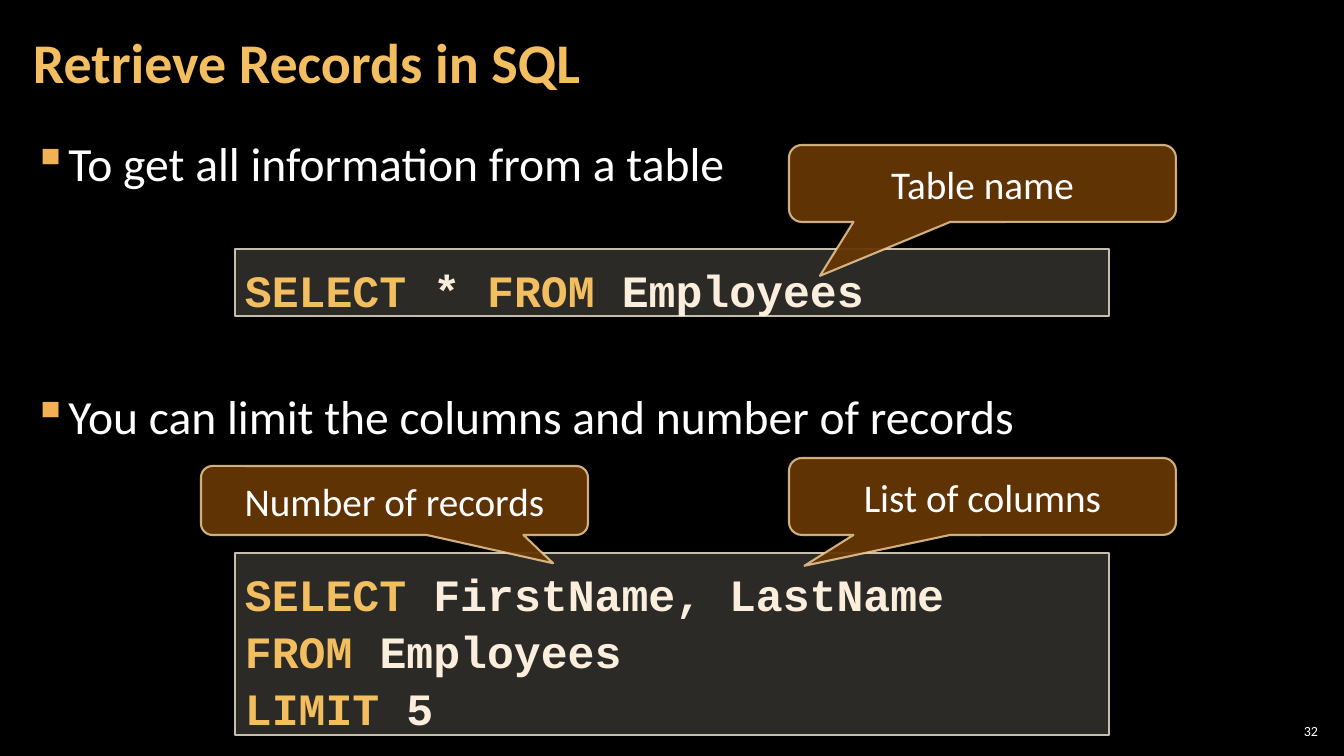
"""Build the slide about retrieving records in SQL."""
from lxml.etree import SubElement
from pptx import Presentation
from pptx.dml.color import RGBColor
from pptx.enum.shapes import MSO_SHAPE
from pptx.enum.text import MSO_ANCHOR, PP_ALIGN
from pptx.oxml.ns import qn
from pptx.util import Emu, Pt

TITLE = "Retrieve Records in SQL"
NUMBER = "32"
BULLETS = [
    ("To get all information from a table", 0),
    ("You can limit the columns and number of records", 132),
]
KEYWORDS = ("SELECT", "FROM", "LIMIT")
QUERIES = [
    ((235, 249, 874, 67), ["SELECT * FROM Employees"]),
    ((235, 553, 874, 182), ["SELECT FirstName, LastName", "FROM Employees", "LIMIT 5"]),
]
CALLOUTS = [
    ("Table name", (789, 145, 387, 77), (-0.42, 1.2)),
    ("List of columns", (789, 458, 387, 77), (-0.46, 0.9)),
    ("Number of records", (201, 466, 387, 69), (0.41, 0.91)),
]

BLACK = RGBColor(0x00, 0x00, 0x00)
WHITE = RGBColor(0xFF, 0xFF, 0xFF)
GOLD = RGBColor(0xF3, 0xBE, 0x60)
BULLET_GOLD = RGBColor(0xF2, 0xB2, 0x54)
CREAM = RGBColor(0xFB, 0xEE, 0xDC)
CODE_FILL = RGBColor(0xD9, 0xD5, 0xC7)
CODE_LINE = RGBColor(0xC7, 0xBF, 0xAC)
BROWN = RGBColor(0x66, 0x36, 0x06)
CALLOUT_LINE = RGBColor(0xF8, 0xD4, 0x9E)


def px(length):
    return Emu(round(length * 914400 / 100.8))


def style(font, size, color, name="Calibri", bold=False):
    font.size, font.name, font.bold = Pt(size), name, bold
    font.color.rgb = color


def set_alpha(element, percent):
    color = next(element.iter(qn("a:srgbClr")))
    SubElement(color, qn("a:alpha"), val=str(percent * 1000))


def add_text_box(page, place, anchor, side):
    frame = page.shapes.add_textbox(*map(px, place)).text_frame
    frame.word_wrap = True
    frame.vertical_anchor = anchor
    frame.margin_left = frame.margin_right = px(side)
    frame.margin_top = frame.margin_bottom = px(4)
    return frame


def add_panel(page, kind, place, fill, fill_alpha, line, width):
    shape = page.shapes.add_shape(kind, *map(px, place))
    shape.shadow.inherit = False
    shape.fill.solid()
    shape.fill.fore_color.rgb = fill
    set_alpha(shape.element.spPr.find(qn("a:solidFill")), fill_alpha)
    shape.line.color.rgb = line
    shape.line.width = Pt(width)
    return shape


def add_bullets(page):
    frame = add_text_box(page, (21, 127, 1301, 614), MSO_ANCHOR.TOP, 12)
    for index, (text, before) in enumerate(BULLETS):
        para = frame.add_paragraph() if index else frame.paragraphs[0]
        para.text = text
        para.line_spacing = 1.05
        para.space_before, para.space_after = Pt(before), Pt(6)
        properties = para._p.get_or_add_pPr()
        properties.set("marL", str(px(33)))
        properties.set("indent", str(-px(33)))
        color = SubElement(properties, qn("a:buClr"))
        SubElement(color, qn("a:srgbClr"), val=str(BULLET_GOLD))
        SubElement(properties, qn("a:buChar"), char="▪")
        style(para.font, 34, WHITE)


def add_query(page, place, lines):
    shape = add_panel(page, MSO_SHAPE.RECTANGLE, place, CODE_FILL, 20, CODE_LINE, 1)
    frame = shape.text_frame
    frame.vertical_anchor = MSO_ANCHOR.TOP
    frame.margin_top = px(10)
    for index, line in enumerate(lines):
        para = frame.add_paragraph() if index else frame.paragraphs[0]
        para.alignment = PP_ALIGN.LEFT
        para.line_spacing = Pt(40.8)
        words = line.split(" ")
        for position, word in enumerate(words):
            span = para.add_run()
            span.text = word + (" " if position < len(words) - 1 else "")
            color = GOLD if word in KEYWORDS else CREAM
            style(span.font, 32, color, "Courier New", True)


def add_callout(page, text, place, tip):
    shape = add_panel(page, MSO_SHAPE.ROUNDED_RECTANGULAR_CALLOUT, place,
                      BROWN, 95, CALLOUT_LINE, 1.5)
    set_alpha(shape.element.spPr.find(qn("a:ln")), 80)
    shape.adjustments[0], shape.adjustments[1] = tip
    frame = shape.text_frame
    frame.vertical_anchor = MSO_ANCHOR.MIDDLE
    para = frame.paragraphs[0]
    para.text = text
    para.alignment = PP_ALIGN.CENTER
    style(para.font, 28, WHITE)


def main():
    deck = Presentation()
    deck.slide_width, deck.slide_height = px(1344), px(756)
    page = deck.slides.add_slide(deck.slide_layouts[6])
    page.background.fill.solid()
    page.background.fill.fore_color.rgb = BLACK

    number = add_text_box(page, (1275, 720, 47, 21), MSO_ANCHOR.MIDDLE, 4).paragraphs[0]
    number.text = NUMBER
    number.alignment = PP_ALIGN.RIGHT
    style(number.font, 10, WHITE)

    add_bullets(page)
    title = add_text_box(page, (21, 4, 1055, 122), MSO_ANCHOR.MIDDLE, 12).paragraphs[0]
    title.text = TITLE
    title.line_spacing = 0.9
    style(title.font, 40, GOLD, bold=True)

    for query in QUERIES:
        add_query(page, *query)
    for callout in CALLOUTS:
        add_callout(page, *callout)
    deck.save("out.pptx")


if __name__ == "__main__":
    main()
